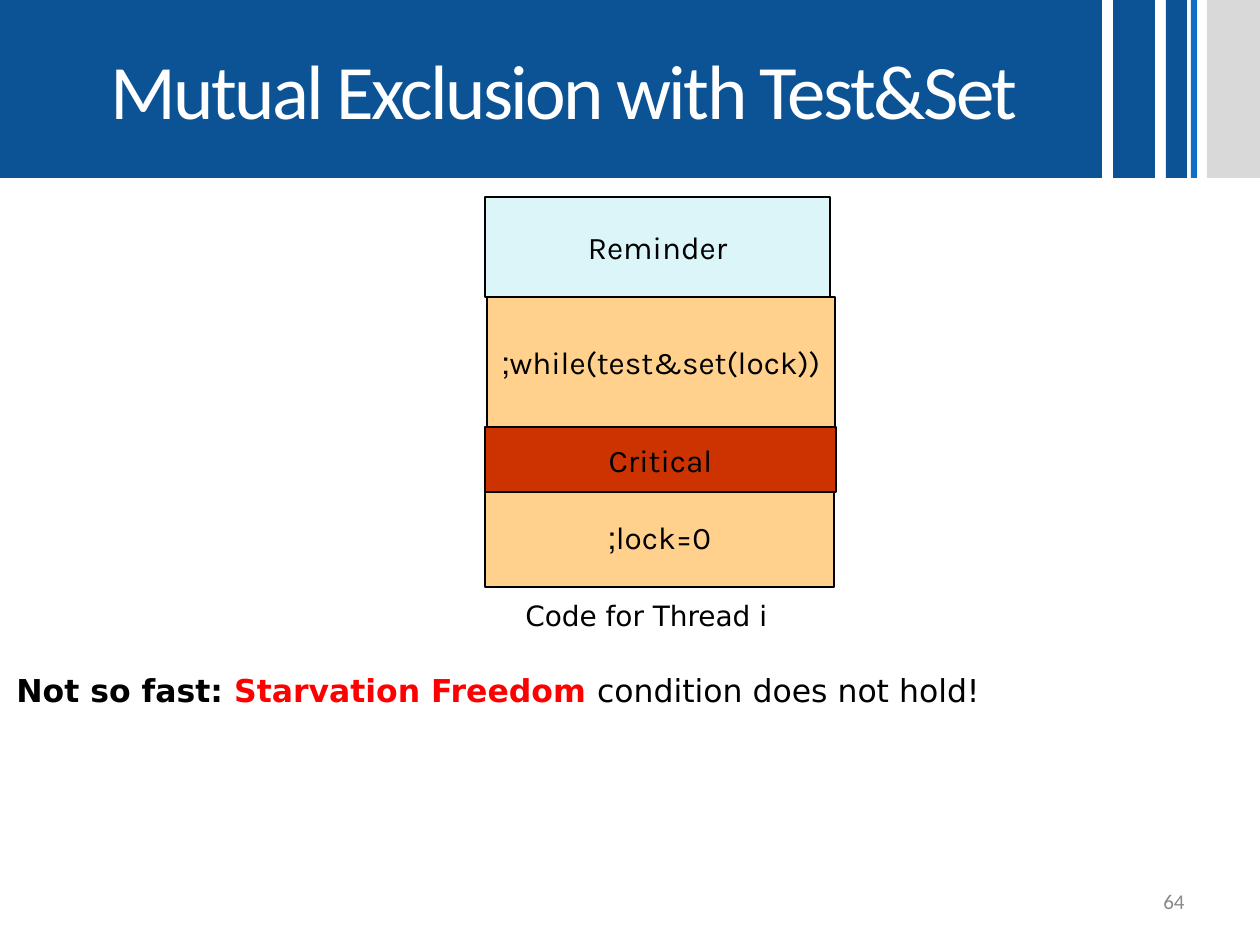
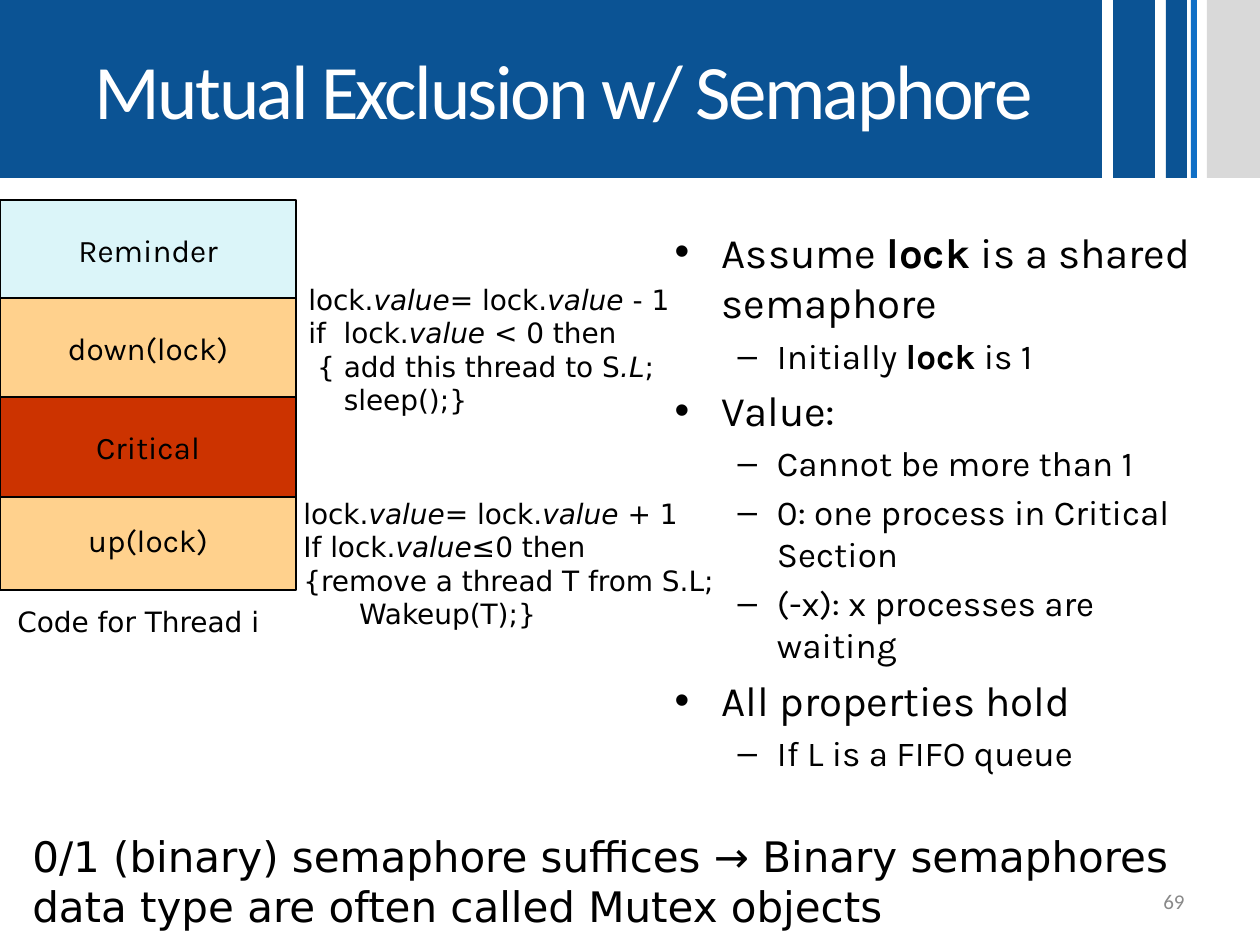
from pptx import Presentation
from pptx import util as u
from pptx.dml.color import RGBColor
from pptx.enum import shapes, text

PX = 914400 / 126
BLUE, BRIGHT_BLUE, LIGHT_GREY, NUMBER_GREY = "0B5394", "0F6FC6", "D9D9D9", "898989"
WHITE, BLACK, RED = "FFFFFF", "000000", "FF0000"
IDLE, LOCKING, CRITICAL = "DBF5F9", "FFD18D", "CC3300"
HEADING, CODE, BODY = "Calibri", "DejaVu Sans", "Karla"
BAND_HEIGHT = 178
SIDE_BANDS = [(1113, 42, BLUE), (1166, 21, BLUE), (1191, 6, BRIGHT_BLUE), (1207, 53, LIGHT_GREY)]


def px(length):
    return u.Emu(round(length * PX))


def place(shape, box):
    shape.left, shape.top, shape.width, shape.height = map(px, box)


def rgb(color):
    return RGBColor.from_string(color)


def fill(shape, color):
    shape.fill.solid()
    shape.fill.fore_color.rgb = rgb(color)


def style(run, font, size, color=BLACK):
    run.font.name, run.font.size = font, u.Pt(size)
    run.font.color.rgb = rgb(color)


def write_pieces(paragraph, pieces, font, size):
    """Write (words, marks) pieces; marks are b for bold, i for italic, r for red."""
    for words, marks in pieces:
        if words == "\v":
            paragraph.add_line_break()
            continue
        run = paragraph.add_run()
        run.text = words
        style(run, font, size, RED if "r" in marks else BLACK)
        if "b" in marks:
            run.font.bold = True
        if "i" in marks:
            run.font.italic = True


def add_rect(slide, box, color):
    rect = slide.shapes.add_shape(shapes.MSO_SHAPE.RECTANGLE, *map(px, box))
    rect.shadow.inherit = False
    fill(rect, color)
    rect.line.fill.background()
    return rect


def add_text(slide, box, lines, size, wrap=False, hanging=0):
    frame = slide.shapes.add_textbox(*map(px, box)).text_frame
    frame.word_wrap = wrap
    frame.auto_size = text.MSO_AUTO_SIZE.SHAPE_TO_FIT_TEXT
    for index, pieces in enumerate(lines):
        paragraph = frame.add_paragraph() if index else frame.paragraphs[0]
        if hanging:
            properties = paragraph._p.get_or_add_pPr()
            properties.set("marL", str(px(hanging)))
            properties.set("indent", str(-px(hanging)))
        write_pieces(paragraph, pieces, CODE, size)


def add_stage(slide, box, label, color):
    """Draw one stage of the thread's code, with right-to-left text."""
    stage = add_rect(slide, box, color)
    stage.line.color.rgb = rgb(BLACK)
    stage.line.width = u.Pt(0.75)
    frame = stage.text_frame
    frame.word_wrap = False
    frame.vertical_anchor = text.MSO_ANCHOR.MIDDLE
    frame.text = label
    paragraph = frame.paragraphs[0]
    paragraph.alignment = text.PP_ALIGN.CENTER
    paragraph._p.get_or_add_pPr().set("rtl", "1")
    style(paragraph.runs[0], BODY, 18)


def add_title(slide, words):
    title = slide.shapes.title
    place(title, (0, 0, 1102, BAND_HEIGHT))
    fill(title, BLUE)
    frame = title.text_frame
    frame.text = words
    frame.margin_left = px(38)
    frame.auto_size = text.MSO_AUTO_SIZE.NONE
    frame.vertical_anchor = text.MSO_ANCHOR.MIDDLE
    run = frame.paragraphs[0].runs[0]
    style(run, HEADING, 44, WHITE)
    run._r.get_or_add_rPr().set("spc", "-150")


def add_number(slide, number):
    frame = slide.shapes.add_textbox(*map(px, (903, 876, 294, 50))).text_frame
    frame.word_wrap = True
    frame.vertical_anchor = text.MSO_ANCHOR.MIDDLE
    frame.text = str(number)
    frame.paragraphs[0].alignment = text.PP_ALIGN.RIGHT
    style(frame.paragraphs[0].runs[0], HEADING, 12, NUMBER_GREY)


def add_slide(deck, layout, title, number):
    slide = deck.slides.add_slide(deck.slide_layouts[layout])
    for left, width, color in SIDE_BANDS:
        add_rect(slide, (left, 0, width, BAND_HEIGHT), color)
    add_title(slide, title)
    add_number(slide, number)
    return slide


def add_bullets(slide, box, bullets):
    body = slide.placeholders[1]
    place(body, box)
    frame = body.text_frame
    frame.auto_size = text.MSO_AUTO_SIZE.NONE
    for index, (level, pieces) in enumerate(bullets):
        paragraph = frame.add_paragraph() if index else frame.paragraphs[0]
        paragraph.level = level
        write_pieces(paragraph, pieces, BODY, 20 if level else 24)
    frame.paragraphs[0].space_before = u.Pt(0)


def add_thread_caption(slide, left, top):
    add_text(slide, (left, top, 282, 47), [[("Code for Thread i", "")]], 16)


def add_test_and_set(deck):
    slide = add_slide(deck, 5, "Mutual Exclusion with Test&Set", 64)
    for box, label, color in [
        ((485, 197, 345, 100), "Reminder", IDLE),
        ((485, 487, 349, 100), "lock=0;", LOCKING),
        ((485, 427, 351, 65), "Critical", CRITICAL),
        ((487, 297, 348, 130), "while(test&set(lock));", LOCKING),
    ]:
        add_stage(slide, box, label, color)
    add_thread_caption(slide, 513, 592)
    verdict = [("Not so fast: ", "b"), ("Starvation Freedom ", "br"),
               ("condition does not hold!", "")]
    add_text(slide, (4, 665, 993, 50), [verdict], 18)


def add_semaphore(deck):
    slide = add_slide(deck, 1, "Mutual Exclusion w/ Semaphore", 69)
    add_bullets(slide, (662, 220, 559, 624), [
        (0, [("Assume ", ""), ("lock ", "b"), ("is a shared semaphore", "")]),
        (1, [("Initially ", ""), ("lock", "b"), (" is 1", "")]),
        (0, [("Value:", "")]),
        (1, [("Cannot be more than 1", "")]),
        (1, [("0: one process in Critical Section", "")]),
        (1, [("(-x): x processes are waiting", "")]),
        (0, [("All properties hold", "")]),
        (1, [("If L is a FIFO queue", "")]),
    ])
    for top, label, color in [
        (200, "Reminder", IDLE),
        (490, "up(lock)", LOCKING),
        (298, "down(lock)", LOCKING),
        (397, "Critical", CRITICAL),
    ]:
        add_stage(slide, (0, top, 296, 100), label, color)
    add_thread_caption(slide, 5, 598)

    def update(step):
        return [("lock.", ""), ("value", "i"), ("= lock.", ""), ("value ", "i"), (step, "")]

    down_code = [
        update("- 1"),
        [("if  lock.", ""), ("value ", "i"), ("< 0 then", "")],
        [(" { add this thread to S", ""), (".L", "i"), (";", "")],
        [("    sleep();}", "")],
    ]
    up_code = [
        update("+ 1"),
        [("If lock.", ""), ("value≤", "i"), ("0 then", "")],
        [("{remove a thread T from S.L;", ""), ("\v", ""), (" Wakeup(T);}", "")],
    ]
    for left, top, code in [(296, 276, down_code), (291, 490, up_code)]:
        add_text(slide, (left, top, 444, 186), code, 16, wrap=True, hanging=47)
    mutex_note = ("0/1 (binary) semaphore suffices → Binary semaphores "
                  "data type are often called Mutex objects")
    add_text(slide, (20, 824, 1225, 113), [[(mutex_note, "")]], 24, wrap=True)


def main():
    deck = Presentation()
    deck.slide_width, deck.slide_height = px(1260), px(945)
    add_test_and_set(deck)
    add_semaphore(deck)
    deck.save("out.pptx")


if __name__ == "__main__":
    main()
